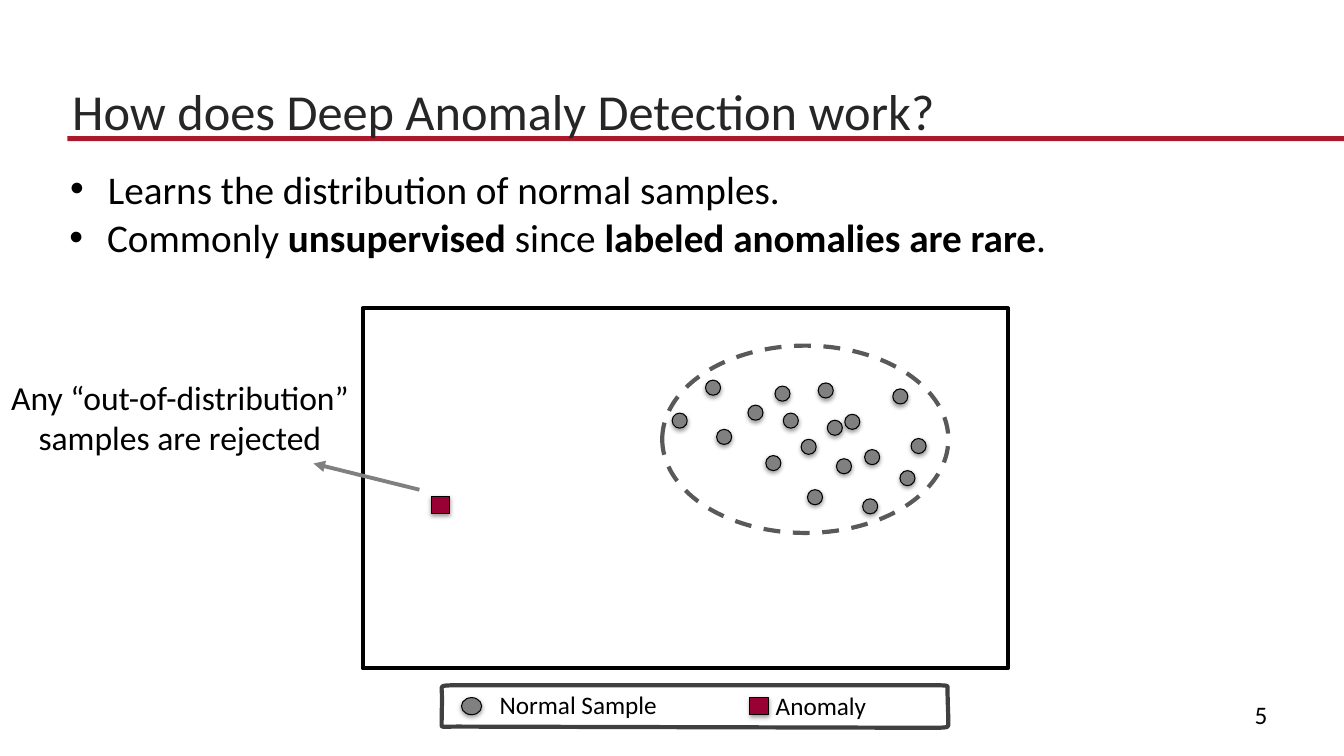
from lxml import etree
from pptx import Presentation
from pptx.dml.color import RGBColor
from pptx.enum import dml, shapes, text
from pptx.oxml import ns
from pptx.util import Cm, Pt

FONT = "Calibri"
BLACK, GREY, CRIMSON = "000000", "808080", "990033"
LEFT, CENTER = text.PP_ALIGN.LEFT, text.PP_ALIGN.CENTER
TOP, MIDDLE, BOTTOM = (text.MSO_ANCHOR.TOP, text.MSO_ANCHOR.MIDDLE,
                       text.MSO_ANCHOR.BOTTOM)
OVAL, RECT = shapes.MSO_SHAPE.OVAL, shapes.MSO_SHAPE.RECTANGLE

# All lengths are in centimetres.
# (left, top, width, height), runs as (wording, bold), size, colour, anchor, align, bullet
TEXTS = [
    ((1.57, 1.55, 31.55, 2.13), [("How does Deep Anomaly Detection work?", False)],
     36, "262626", BOTTOM, LEFT, False),
    ((1.52, 4.09, 29.24, 1.32), [("Learns the distribution of normal samples.", False)],
     28, BLACK, MIDDLE, LEFT, True),
    ((1.5, 5.26, 25.25, 1.45),
     [("Commonly ", False), ("unsupervised", True), (" since ", False),
      ("labeled anomalies are rare", True), (".", False)],
     28, BLACK, TOP, LEFT, True),
    ((-0.48, 9.27, 10.03, 2.49),
     [("Any “out-of-distribution” samples are rejected", False)],
     24, BLACK, MIDDLE, CENTER, False),
    ((12.34, 17.25, 5.08, 1.04), [("Normal Sample", False)], 18, BLACK, TOP, LEFT, False),
    ((19.3, 17.27, 5.08, 1.04), [("Anomaly", False)], 18, BLACK, TOP, LEFT, False),
    ((31.37, 17.27, 2.03, 1.45), [("5", False)], 18, BLACK, MIDDLE, LEFT, False),
]

DOT = 0.38
NORMAL_SAMPLES = [
    (17.78, 9.58), (21.08, 11.56), (18.06, 10.82), (18.85, 10.21), (19.74, 10.41),
    (19.3, 11.48), (21.79, 11.33), (20.85, 10.59), (21.74, 12.57), (21.29, 10.44),
    (20.35, 12.34), (20.19, 11.07), (20.62, 9.65), (16.94, 10.41), (19.53, 9.73),
    (22.5, 9.8), (22.96, 11.05), (22.68, 11.86),
]
LEGEND_DOT = (11.63, 17.58, 0.51, 0.43)
ANOMALIES = [(10.87, 12.5, 0.46, 0.43), (18.9, 17.58, 0.46, 0.43)]

# Each segment is one end point (line) or two controls and an end point (curve).
LEGEND_START = (11.13, 17.37)
LEGEND_SEGMENTS = [
    [(11.13, 17.27), (11.15, 17.27), (11.58, 17.27)],
    [(23.5, 17.27)],
    [(23.93, 17.27), (23.88, 17.27), (23.88, 17.37)],
    [(23.88, 17.65), (23.9, 17.96), (23.9, 18.24)],
    [(23.9, 18.34), (23.88, 18.34), (23.42, 18.34)],
    [(11.53, 18.31)],
    [(11.1, 18.31), (11.13, 18.34), (11.13, 18.24)],
    [(11.13, 17.98), (11.15, 17.6), (11.13, 17.37)],
]
CURVE_STEPS = 8


def rgb(value):
    return RGBColor.from_string(value)


def style(sp, fill=None, line=None, width=0.75):
    sp.shadow.inherit = False
    if fill:
        sp.fill.solid()
        sp.fill.fore_color.rgb = rgb(fill)
    else:
        sp.fill.background()
    if line:
        sp.line.color.rgb = rgb(line)
        sp.line.width = Pt(width)
    else:
        sp.line.fill.background()
    return sp


def add_shape(s, kind, box, **look):
    return style(s.shapes.add_shape(kind, *map(Cm, box)), **look)


def add_marker(s, kind, box, fill):
    """Outlined sample marker with a soft shadow below it."""
    sp = add_shape(s, kind, box, fill=fill, line=BLACK)
    effects = sp._element.spPr.find(ns.qn("a:effectLst"))
    shadow = etree.SubElement(effects, ns.qn("a:outerShdw"), blurRad="40000",
                              dist="20000", dir="5400000", rotWithShape="0")
    color = etree.SubElement(shadow, ns.qn("a:srgbClr"), val=BLACK)
    etree.SubElement(color, ns.qn("a:alpha"), val="38000")


def add_text(s, box, runs, size, color, anchor, align, bullet):
    tf = s.shapes.add_textbox(*map(Cm, box)).text_frame
    tf.word_wrap = True
    tf.vertical_anchor = anchor
    p = tf.paragraphs[0]
    p.alignment = align
    if bullet:
        pPr = p._p.get_or_add_pPr()
        pPr.set("marL", str(Cm(0.95)))
        pPr.set("indent", str(-Cm(0.95)))
        etree.SubElement(pPr, ns.qn("a:buFont"), typeface="Arial")
        etree.SubElement(pPr, ns.qn("a:buChar"), char="•")
    for wording, bold in runs:
        r = p.add_run()
        r.text = wording
        r.font.name, r.font.size, r.font.bold = FONT, Pt(size), bold
        r.font.color.rgb = rgb(color)


def outline_points(start, segments):
    """Turn lines and cubic curves into a list of points."""
    points = []
    for segment in segments:
        if len(segment) == 1:
            points += segment
        else:
            for step in range(1, CURVE_STEPS + 1):
                t = step / CURVE_STEPS
                weights = ((1 - t) ** 3, 3 * t * (1 - t) ** 2, 3 * t * t * (1 - t), t ** 3)
                points.append(tuple(sum(w * c for w, c in zip(weights, axis))
                                    for axis in zip(start, *segment)))
        start = segment[-1]
    return points


def add_legend_frame(s):
    builder = s.shapes.build_freeform(*map(Cm, LEGEND_START))
    points = outline_points(LEGEND_START, LEGEND_SEGMENTS)
    builder.add_line_segments([(Cm(x), Cm(y)) for x, y in points], close=True)
    style(builder.convert_to_shape(), line="404040", width=3)


def add_arrow(s, start, end):
    c = s.shapes.add_connector(shapes.MSO_CONNECTOR.STRAIGHT, *map(Cm, start + end))
    c.line.color.rgb = rgb(GREY)
    c.line.width = Pt(2.75)
    etree.SubElement(c.line._get_or_add_ln(), ns.qn("a:tailEnd"), type="triangle")
    etree.SubElement(c._element.spPr, ns.qn("a:effectLst"))


def main():
    prs = Presentation()
    prs.slide_width, prs.slide_height = Cm(33.87), Cm(19.05)
    s = prs.slides.add_slide(prs.slide_layouts[6])

    add_shape(s, RECT, (1.7, 3.43, 32.17, 0.13), fill="AB192D")
    for x, y in NORMAL_SAMPLES:
        add_marker(s, OVAL, (x, y, DOT, DOT), GREY)
    add_shape(s, RECT, (9.14, 7.77, 16.26, 9.07), line=BLACK, width=3)
    add_legend_frame(s)
    add_marker(s, OVAL, LEGEND_DOT, GREY)
    for box in ANOMALIES:
        add_marker(s, RECT, box, CRIMSON)
    boundary = add_shape(s, OVAL, (16.69, 8.71, 7.21, 4.72), line="595959", width=3)
    boundary.line.dash_style = dml.MSO_LINE.DASH
    add_arrow(s, (10.57, 12.34), (7.9, 11.68))
    for item in TEXTS:
        add_text(s, *item)

    prs.save("out.pptx")


if __name__ == "__main__":
    main()
